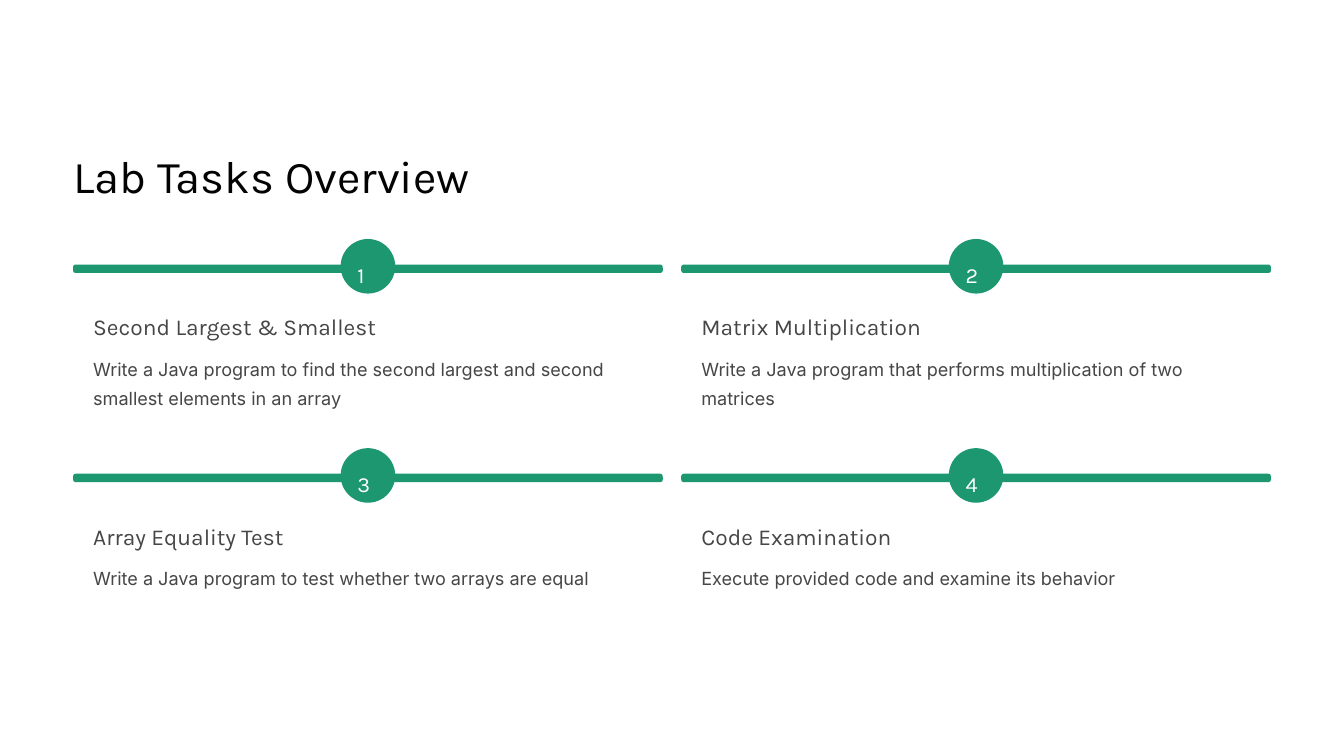
from dataclasses import dataclass

from pptx import Presentation
from pptx import util as u
from pptx.dml.color import RGBColor
from pptx.enum import shapes, text


@dataclass(frozen=True)
class Theme:
    """Colours and type styles: font, size, line spacing, colour."""
    white: str = "FFFFFF"
    accent: str = "1C9770"
    title: tuple = ("Karla", 39, 48.5, "030303")
    number: tuple = ("Karla", 18.5, 30, "FFFFFF")
    heading: tuple = ("Karla", 19.5, 24, "464646")
    body: tuple = ("Inter", 15.5, 25, "464646")


THEME = Theme()
WIDTH, HEIGHT = 16, 9
MARGIN, GUTTER = 0.87, 0.22
COLUMNS = 2
CARD_WIDTH = (WIDTH - 2 * MARGIN - GUTTER * (COLUMNS - 1)) / COLUMNS
GRID_TOP, ROW_PITCH = 3.17, 2.49
PADDING, LINE_HEIGHT = 0.24, 0.345
BAR_HEIGHT, BADGE = 0.1, 0.65

TASKS = [
    ("Second Largest & Smallest", 3.49, 2,
     "Write a Java program to find the second largest and second smallest elements in an array"),
    ("Matrix Multiplication", 2.71, 2,
     "Write a Java program that performs multiplication of two matrices"),
    ("Array Equality Test", 2.71, 1,
     "Write a Java program to test whether two arrays are equal"),
    ("Code Examination", 2.71, 1,
     "Execute provided code and examine its behavior"),
]


def set_all(target, values):
    """Set each attribute of the target from a dict."""
    for name, value in values.items():
        setattr(target, name, value)


def inches(*lengths):
    """Convert lengths in inches for python-pptx."""
    return [u.Inches(length) for length in lengths]


def write(shape, words, style):
    """Put one styled, left-aligned paragraph into a shape."""
    font, size, spacing, colour = style
    frame = shape.text_frame
    set_all(frame, {
        "text": words, "word_wrap": True,
        "auto_size": text.MSO_AUTO_SIZE.NONE,
        "vertical_anchor": text.MSO_ANCHOR.TOP,
        "margin_left": 0, "margin_right": 0, "margin_top": 0, "margin_bottom": 0,
    })
    paragraph = frame.paragraphs[0]
    set_all(paragraph, {"alignment": text.PP_ALIGN.LEFT, "line_spacing": u.Pt(spacing)})
    run_font = paragraph.runs[0].font
    set_all(run_font, {"name": font, "size": u.Pt(size)})
    run_font.color.rgb = RGBColor.from_string(colour)


def add_label(slide, box, words, style):
    """Add a text box."""
    write(slide.shapes.add_textbox(*inches(*box)), words, style)


def add_panel(slide, box, radius, colour):
    """Add a plain rounded rectangle with a corner radius in inches."""
    shape = slide.shapes.add_shape(shapes.MSO_SHAPE.ROUNDED_RECTANGLE, *inches(*box))
    shape.adjustments[0] = min(radius / min(box[2:]), 0.5)
    shape.shadow.inherit = False
    shape.fill.solid()
    shape.fill.fore_color.rgb = RGBColor.from_string(colour)
    shape.line.fill.background()


def add_title(slide, words):
    """Place and format the title placeholder."""
    title = slide.shapes.title
    left, top, width, height = inches(MARGIN, 1.74, 5.43, 0.68)
    set_all(title, {"left": left, "top": top, "width": width, "height": height})
    write(title, words, THEME.title)


def add_task(slide, index, task):
    """Add a card with its bar, numbered badge, heading and body."""
    heading, heading_width, lines, body = task
    row, column = divmod(index, COLUMNS)
    left = MARGIN + column * (CARD_WIDTH + GUTTER)
    top = GRID_TOP + row * ROW_PITCH
    badge_left = left + (CARD_WIDTH - BADGE) / 2
    badge_top = top - BADGE / 2
    text_left = left + PADDING
    body_height = lines * LINE_HEIGHT

    add_panel(slide, (left, top, CARD_WIDTH, 1.26 + body_height), 0.12, THEME.white)
    add_panel(slide, (left, top - 0.02, CARD_WIDTH, BAR_HEIGHT), 0.03, THEME.accent)
    add_panel(slide, (badge_left, badge_top, BADGE, BADGE), BADGE / 2, THEME.accent)
    add_label(slide, (badge_left + 0.2, badge_top + 0.16, 0.26, 0.33),
              str(index + 1), THEME.number)
    add_label(slide, (text_left, top + 0.55, heading_width, 0.34), heading, THEME.heading)
    add_label(slide, (text_left, top + 1.01, CARD_WIDTH - 2 * PADDING, body_height),
              body, THEME.body)


def main():
    """Build and save the slide."""
    presentation = Presentation()
    set_all(presentation, {"slide_width": u.Inches(WIDTH), "slide_height": u.Inches(HEIGHT)})
    slide = presentation.slides.add_slide(presentation.slide_layouts[5])
    slide.background.fill.solid()
    slide.background.fill.fore_color.rgb = RGBColor.from_string(THEME.white)
    add_title(slide, "Lab Tasks Overview")
    for index, task in enumerate(TASKS):
        add_task(slide, index, task)
    presentation.save("out.pptx")


if __name__ == "__main__":
    main()
